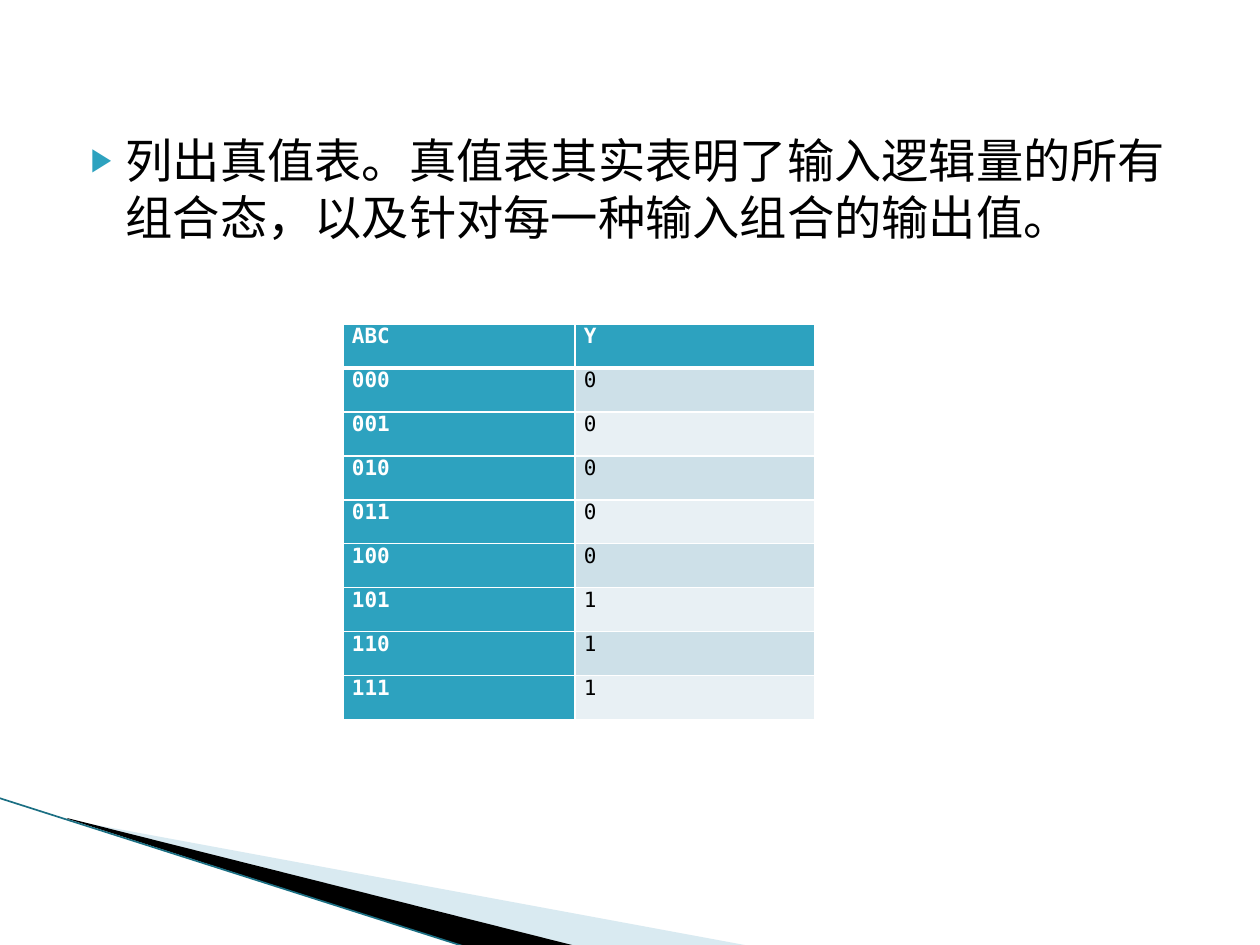
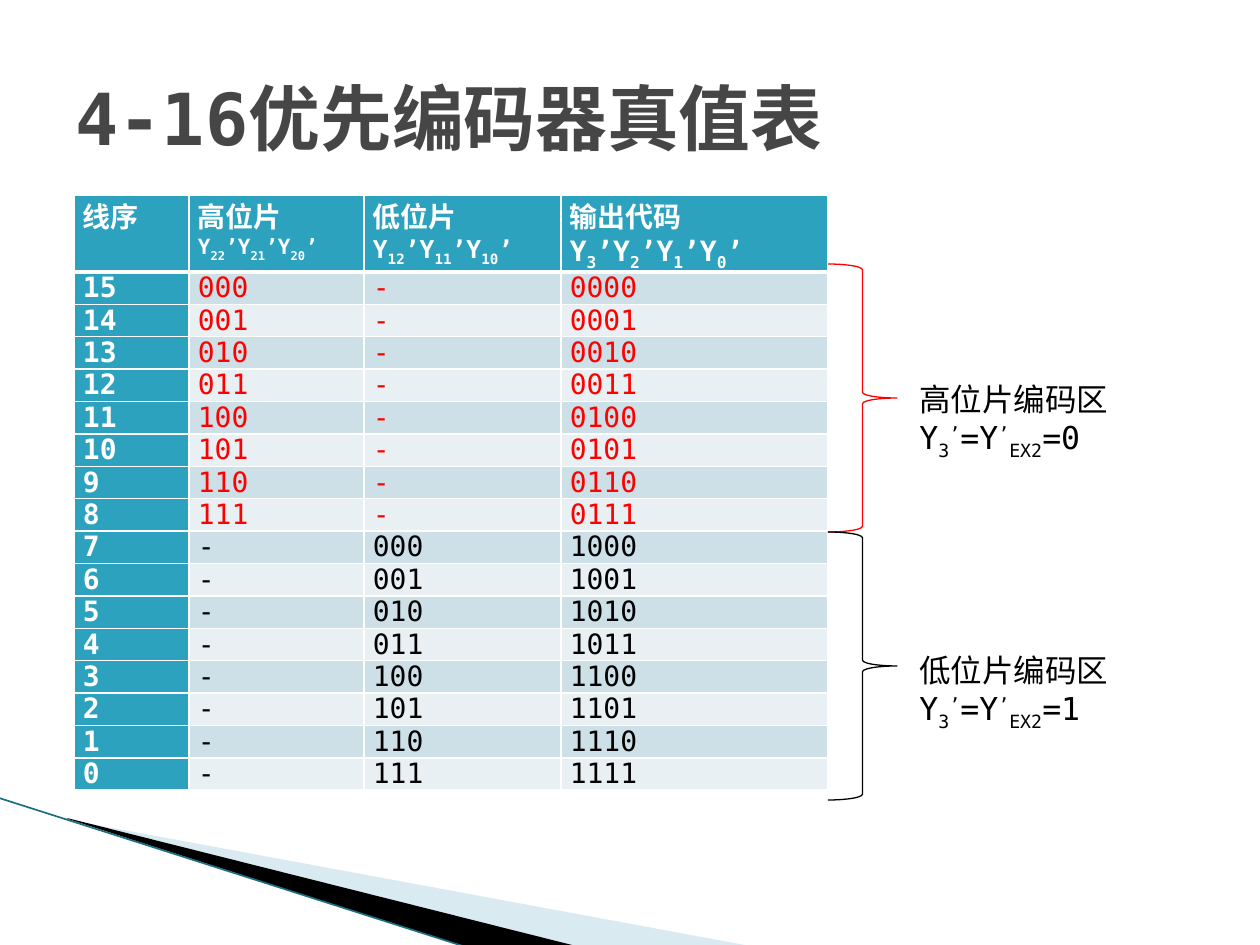
from pptx import Presentation
from pptx.dml.color import RGBColor
from pptx.enum.lang import MSO_LANGUAGE_ID
from pptx.enum.shapes import MSO_CONNECTOR, MSO_SHAPE
from pptx.enum.text import MSO_ANCHOR, MSO_AUTO_SIZE, PP_ALIGN
from pptx.oxml import parse_xml
from pptx.oxml.ns import nsdecls
from pptx.util import Pt

PX = 914400 / 126
FONT = "DejaVu Sans Mono"
CHINESE = MSO_LANGUAGE_ID.SIMPLIFIED_CHINESE
STRAIGHT = MSO_CONNECTOR.STRAIGHT
RIGHT_BRACE = MSO_SHAPE.RIGHT_BRACE
MIDDLE, TOP = MSO_ANCHOR.MIDDLE, MSO_ANCHOR.TOP
NO_FIT = MSO_AUTO_SIZE.NONE
GROW = MSO_AUTO_SIZE.SHAPE_TO_FIT_TEXT
LEFT, JUSTIFY = PP_ALIGN.LEFT, PP_ALIGN.JUSTIFY
COLORS = {
    "accent": "2DA2BF",
    "band_dark": "CDE0E8",
    "band_light": "E8F0F4",
    "wedge": "A0CBDC",
    "edge": "1B6F83",
    "title": "464646",
    "black": "000000",
    "white": "FFFFFF",
    "red": "FF0000",
}
BASELINES = {"_": "-25000", "^": "30000"}


def write_text(frame, text, size=18, last_size=None, color="black", bold=False, align=LEFT):
    lines = text.split("\n")
    for index, line in enumerate(lines):
        paragraph = frame.paragraphs[0] if index == 0 else frame.add_paragraph()
        paragraph.alignment = align
        paragraph.space_before = Pt(0)
        for piece in line.split("|"):
            run = paragraph.add_run()
            run.text = piece.lstrip("_^")
            font = run.font
            font.name = FONT
            font.language_id = CHINESE
            font.size = Pt(last_size if last_size and index == len(lines) - 1 else size)
            font.bold = bold
            font.color.rgb = RGBColor.from_string(COLORS[color])
            if piece[0] in BASELINES:
                font._element.set("baseline", BASELINES[piece[0]])


def add_truth_table(slide, left, top, widths, heights, rows, size, header_sizes, red_rows):
    table = slide.shapes.add_table(
        len(rows), len(widths), round(left * PX), round(top * PX),
        round(sum(widths) * PX), round(sum(heights) * PX)).table
    table.first_row = table.horz_banding = False
    for column, width in zip(table.columns, widths):
        column.width = round(width * PX)
    for row_index, values in enumerate(rows):
        table.rows[row_index].height = round(heights[row_index] * PX)
        for column_index, value in enumerate(values):
            cell = table.cell(row_index, column_index)
            cell.margin_left = cell.margin_right = round(9 * PX)
            cell.margin_top = cell.margin_bottom = 0
            thick_side = {0: "B", 1: "T"}.get(row_index)
            for side in "LRTB":
                line_width = Pt(3 if side == thick_side else 1)
                cell._tc.get_or_add_tcPr().append(parse_xml(
                    f'<a:ln{side} {nsdecls("a")} w="{line_width}"><a:solidFill>'
                    f'<a:srgbClr val="{COLORS["white"]}"/></a:solidFill></a:ln{side}>'))
            heading = row_index == 0 or column_index == 0
            band = "band_dark" if row_index % 2 else "band_light"
            cell.fill.solid()
            cell.fill.fore_color.rgb = RGBColor.from_string(COLORS["accent" if heading else band])
            body_color = "red" if row_index in red_rows else "black"
            write_text(cell.text_frame, value, size=size,
                       last_size=header_sizes[column_index] if row_index == 0 else None,
                       color="white" if heading else body_color, bold=heading, align=JUSTIFY)


presentation = Presentation()
presentation.slide_width = round(1260 * PX)
presentation.slide_height = round(945 * PX)
method_slide = presentation.slides.add_slide(presentation.slide_layouts[1])
encoder_slide = presentation.slides.add_slide(presentation.slide_layouts[5])

corner_shapes = []
for color, points in (
    ("wedge", [(69, 820), (750, 946), (575, 946), (69, 819)]),
    ("black", [(67, 818), (576, 946), (469, 948), (68, 819)]),
):
    builder = method_slide.shapes.build_freeform(*points[0], scale=PX)
    builder.add_line_segments(points[1:], close=True)
    wedge = builder.convert_to_shape()
    wedge.shadow.inherit = False
    wedge.fill.solid()
    wedge.fill.fore_color.rgb = RGBColor.from_string(COLORS[color])
    wedge.line.fill.background()
    corner_shapes.append(wedge)
wedge_color = corner_shapes[0].element.xpath("./p:spPr/a:solidFill/a:srgbClr")[0]
wedge_color.append(parse_xml(f'<a:alpha {nsdecls("a")} val="40000"/>'))

edge = method_slide.shapes.add_connector(
    STRAIGHT, *(round(length * PX) for length in (-1, 798, 469, 948)))
edge.line.color.rgb = RGBColor.from_string(COLORS["edge"])
edge.line.width = Pt(0.95)
edge.element.spPr.append(parse_xml(f'<a:effectLst {nsdecls("a")}/>'))
corner_shapes.append(edge)

master_tree = presentation.slide_master.shapes.element
for index, shape in enumerate(corner_shapes):
    shape.element.xpath(".//p:cNvPr")[0].set("id", str(20 + index))
    master_tree.insert(2 + index, shape.element)

empty_title = method_slide.shapes.title.element
empty_title.getparent().remove(empty_title)
body = method_slide.placeholders[1]
title = encoder_slide.shapes.title
for placeholder, top, height, anchor in ((body, 125, 179, TOP), (title, 38, 157, MIDDLE)):
    placeholder.left, placeholder.top = round(63 * PX), round(top * PX)
    placeholder.width, placeholder.height = round(1134 * PX), round(height * PX)
    placeholder.text_frame.auto_size = NO_FIT
    placeholder.text_frame.vertical_anchor = anchor

properties = body.text_frame.paragraphs[0]._p.get_or_add_pPr()
properties.set("marL", str(round(50 * PX)))
properties.set("indent", str(round(-35 * PX)))
for bullet_part in (
    f'<a:buClr {nsdecls("a")}><a:srgbClr val="{COLORS["accent"]}"/></a:buClr>',
    f'<a:buSzPct {nsdecls("a")} val="68000"/>',
    f'<a:buChar {nsdecls("a")} char="▶"/>',
):
    properties.append(parse_xml(bullet_part))
write_text(body.text_frame,
           "列出真值表。真值表其实表明了输入逻辑量的所有组合态，以及针对每一种输入组合的输出值。", size=27)

logic_rows = [("ABC", "Y")]
for number in range(8):
    logic_rows.append((format(number, "03b"), str(int(number >= 5))))
add_truth_table(method_slide, 343, 324, [232, 240], [44] * 9, logic_rows,
                size=12, header_sizes=[12, 12], red_rows=())

write_text(title.text_frame, "4-16优先编码器真值表", size=41, color="title", bold=True)
encoder_rows = [(
    "线序",
    "高位片\nY|_22|’Y|_21|’Y|_20|’",
    "低位片\nY|_12|’Y|_11|’Y|_10|’",
    "输出代码\nY|_3|’Y|_2|’Y|_1|’Y|_0|’",
)]
for code in range(16):
    chip_code = format(code % 8, "03b")
    chips = (chip_code, "-") if code < 8 else ("-", chip_code)
    encoder_rows.append((str(15 - code), *chips, format(code, "04b")))
add_truth_table(encoder_slide, 74, 195, [115, 175, 197, 267], [66] + [30] * 16, encoder_rows,
                size=16, header_sizes=[16, 12, 14, 16], red_rows=range(1, 9))

for label, value, color, brace_top, label_top in (
    ("高位片编码区", 0, "red", 264, 374),
    ("低位片编码区", 1, "black", 532, 645),
):
    brace = encoder_slide.shapes.add_shape(
        RIGHT_BRACE, *(round(length * PX) for length in (828, brace_top, 69, 268)))
    brace.shadow.inherit = False
    brace.fill.background()
    brace.line.color.rgb = RGBColor.from_string(COLORS[color])
    brace.line.width = Pt(0.75)
    note = encoder_slide.shapes.add_textbox(
        *(round(length * PX) for length in (907, label_top, 217, 89)))
    note.text_frame.word_wrap = False
    note.text_frame.auto_size = GROW
    write_text(note.text_frame, f"{label}\nY|_3|^’|=Y|^’|_EX2|={value}")

presentation.save("out.pptx")
